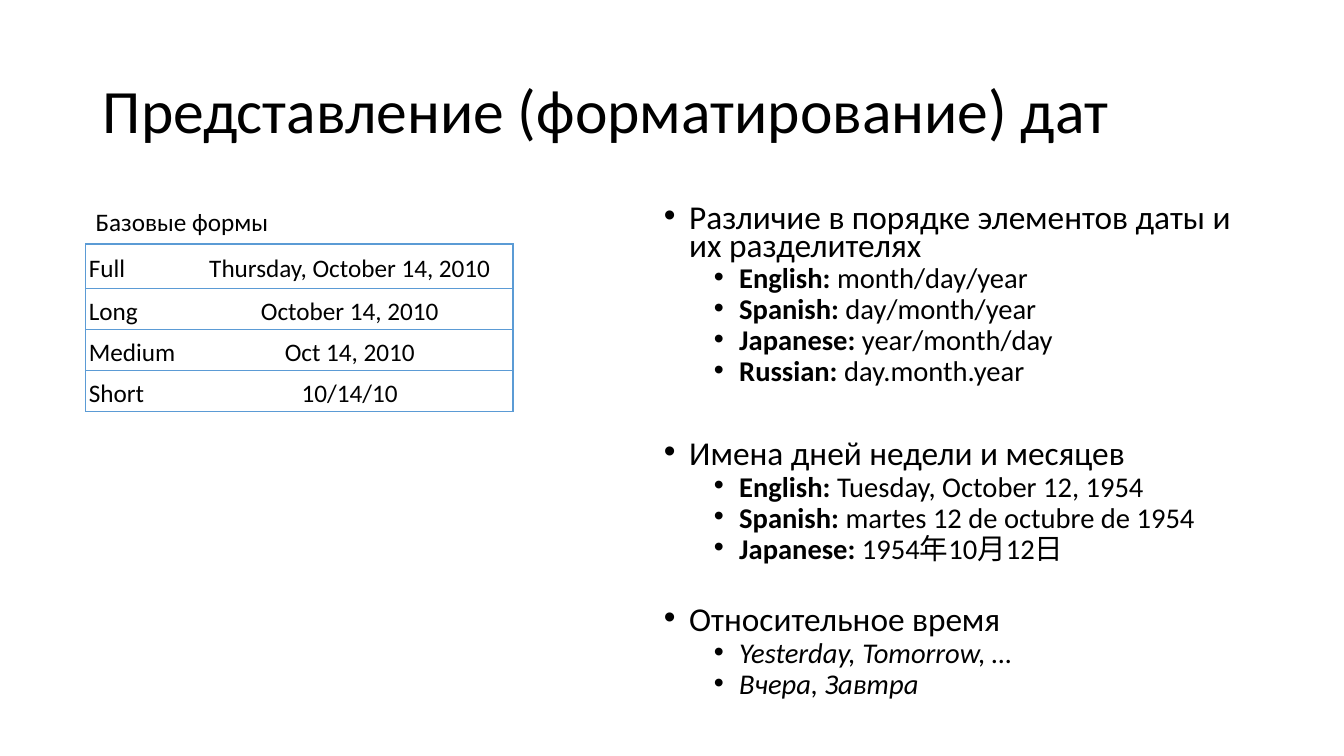
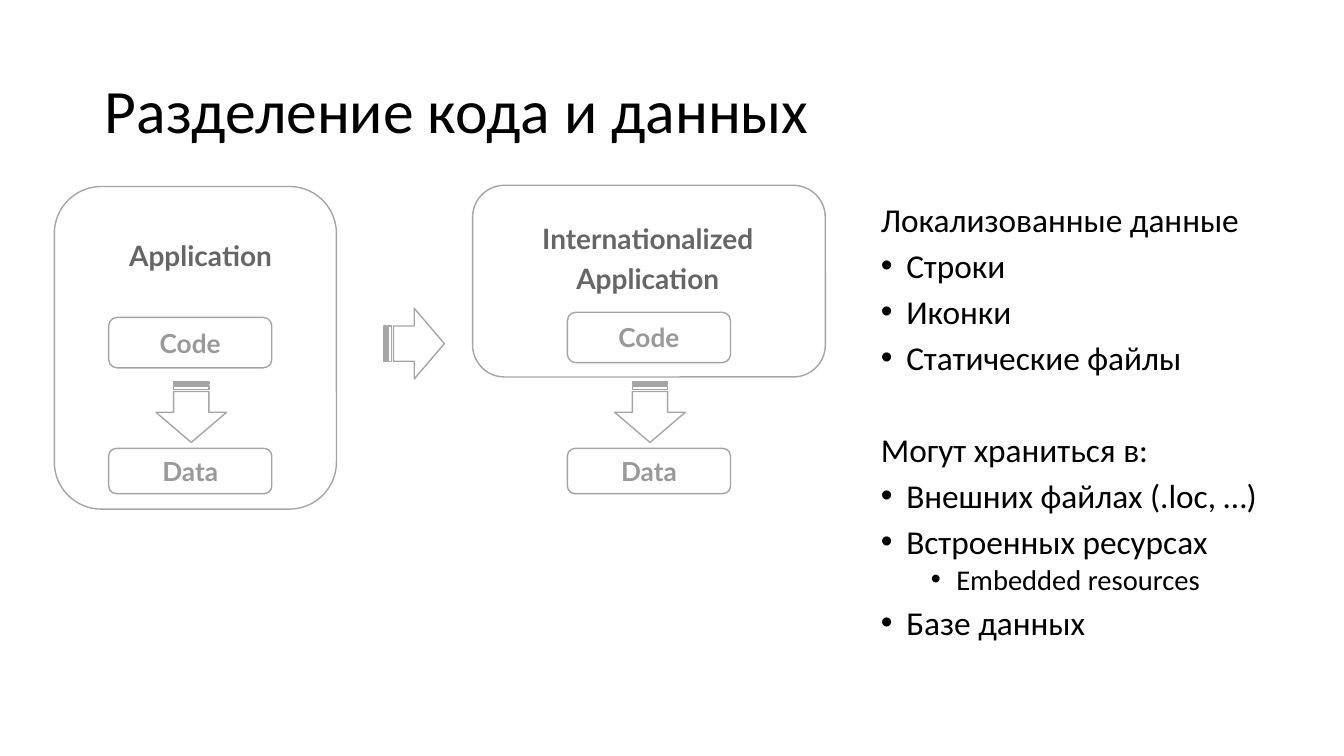
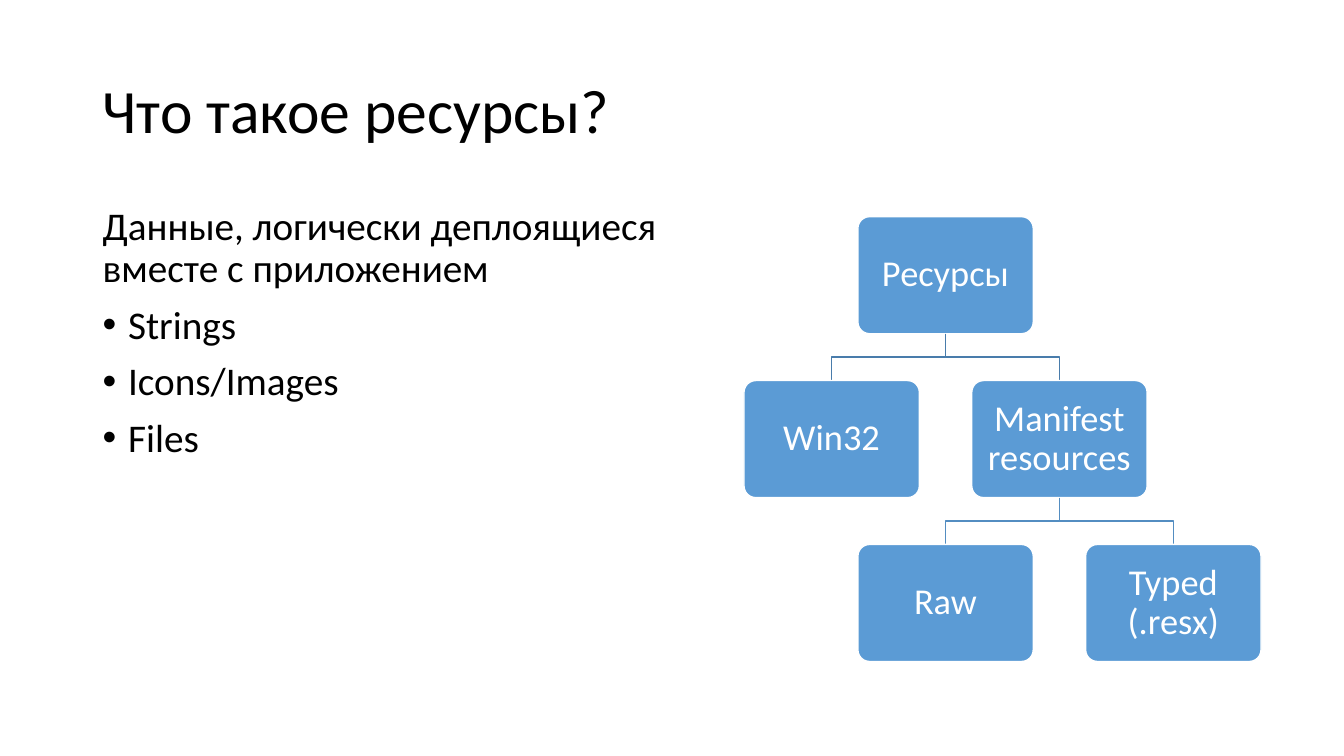
import pptx
import pptx.util
import pptx.dml.color
import pptx.enum.shapes
import pptx.enum.text
import pptx.oxml
import pptx.oxml.ns

Cm, Pt = pptx.util.Cm, pptx.util.Pt
SHAPE = pptx.enum.shapes.MSO_SHAPE
ALIGN = pptx.enum.text.PP_ALIGN
ANCHOR = pptx.enum.text.MSO_ANCHOR

# Shared style
COLORS = {"text": "000000", "white": "FFFFFF", "blue": "5B9BD5",
          "fork_1": "497CAB", "fork_2": "538DC1",
          "outline": "A5A5A5", "box_text": "999999", "caption": "666666"}
INSET = 0.25, 0.13
# kind: (level, left margin in cm, space before in pt, italic)
KINDS = {"plain": (0, 0, 10, False), "bullet": (0, 0.64, 10, False),
         "sub": (1, 1.9, 5, False), "italic": (1, 1.9, 5, True)}

# Content: kind, bold lead, text and, where a section starts, its space before
DATE_NOTES = [
    ("bullet", "", "Различие в порядке элементов даты и их разделителях"),
    ("sub", "English:", " month/day/year"),
    ("sub", "Spanish:", " day/month/year"),
    ("sub", "Japanese:", " year/month/day"),
    ("sub", "Russian: ", "day.month.year"),
    ("bullet", "", "Имена дней недели и месяцев", 40.3),
    ("sub", "English:", " Tuesday, October 12, 1954"),
    ("sub", "Spanish: ", "martes 12 de octubre de 1954"),
    ("sub", "Japanese:", " 1954年10月12日"),
    ("bullet", "", "Относительное время", 32.4),
    ("italic", "", "Yesterday, Tomorrow, …"),
    ("italic", "", "Вчера, Завтра"),
]
DATE_FORMS = [("Full", "Thursday, October 14, 2010"), ("Long", "October 14, 2010"),
              ("Medium", "Oct 14, 2010"), ("Short", "10/14/10")]
DATA_NOTES = [
    ("plain", "", "Локализованные данные"),
    ("bullet", "", "Строки"),
    ("bullet", "", "Иконки"),
    ("bullet", "", "Статические файлы"),
    ("plain", "", "Могут храниться в:", 43.2),
    ("bullet", "", "Внешних файлах (.loc, …)"),
    ("bullet", "", "Встроенных ресурсах"),
    ("sub", "", "Embedded resources"),
    ("bullet", "", "Базе данных"),
]
# frame, caption lines, caption place, left of the boxes, top of the code box
APPLICATIONS = [
    ((1.37, 4.7, 7.11, 8.13), ["Application"], (1.55, 5.49, 7.01, 1.98), 2.74, 8),
    ((11.91, 4.67, 8.89, 4.83), ["Internationalized", "Application"],
     (12.5, 5.26, 7.65, 2.62), 14.3, 7.87),
]
RESOURCE_NOTES = [
    ("plain", "", "Данные, логически деплоящиеся вместе с приложением"),
    ("bullet", "", "Strings"),
    ("bullet", "", "Icons/Images"),
    ("bullet", "", "Files"),
]
# name: (column, row, parent)
RESOURCE_TREE = {"Ресурсы": (1, 0, None), "Win32": (0, 1, "Ресурсы"),
                 "Manifest resources": (2, 1, "Ресурсы"),
                 "Raw": (1, 2, "Manifest resources"),
                 "Typed (.resx)": (3, 2, "Manifest resources")}


def rgb(name):
    return pptx.dml.color.RGBColor.from_string(COLORS[name])


def lengths(place):
    return [Cm(value) for value in place]


def set_font(paragraph, size, color="text", name="Calibri", bold=False, italic=False):
    font = paragraph.font
    font.size, font.name, font.bold, font.italic = Pt(size), name, bold, italic
    font.color.rgb = rgb(color)


def set_frame(frame, inset=INSET, anchor=ANCHOR.MIDDLE):
    frame.word_wrap = True
    frame.auto_size = pptx.enum.text.MSO_AUTO_SIZE.NONE
    frame.vertical_anchor = anchor
    frame.margin_left = frame.margin_right = Cm(inset[0])
    frame.margin_top = frame.margin_bottom = Cm(inset[1])


def add_titled_slide(presentation, title_text, left=2.34):
    slide = presentation.slides.add_slide(presentation.slide_layouts[5])
    title = slide.shapes.title
    title.left, title.top, title.width, title.height = lengths((left, 1.02, 29.21, 3.68))
    title.text_frame.text = title_text
    set_frame(title.text_frame)
    paragraph = title.text_frame.paragraphs[0]
    paragraph.alignment, paragraph.line_spacing = ALIGN.LEFT, 0.9
    set_font(paragraph, 44)
    return slide


def add_text(slide, place, lines, inset=INSET, anchor=ANCHOR.TOP):
    frame = slide.shapes.add_textbox(*lengths(place)).text_frame
    set_frame(frame, inset, anchor)
    frame.text = "\n".join(lines)
    return frame.paragraphs


def add_bullet(paragraph, margin):
    properties = paragraph._p.get_or_add_pPr()
    properties.set("marL", str(Cm(margin)))
    properties.set("indent", str(-Cm(0.64)))
    for tag, attribute, value in (("buFont", "typeface", "Arial"), ("buChar", "char", "•")):
        element = pptx.oxml.parse_xml(
            f'<a:{tag} {pptx.oxml.ns.nsdecls("a")} {attribute}="{value}"/>')
        properties.append(element)


def add_notes(slide, place, notes, line_spacing, sizes):
    paragraphs = add_text(slide, place, [""] * len(notes))
    for index, (paragraph, note) in enumerate(zip(paragraphs, notes)):
        kind, lead, text, *section_gap = note
        level, margin, before, italic = KINDS[kind]
        paragraph.level = level
        if margin:
            add_bullet(paragraph, margin)
        paragraph.line_spacing = line_spacing
        if index:
            paragraph.space_before = Pt(section_gap[0] if section_gap else before)
        set_font(paragraph, sizes[level], italic=italic)
        if lead:
            run = paragraph.add_run()
            run.text, run.font.bold = lead, True
        paragraph.add_run().text = text


def add_box(slide, kind, place, fill, line):
    shape = slide.shapes.add_shape(kind, *lengths(place))
    shape.shadow.inherit = False
    shape.fill.solid()
    shape.fill.fore_color.rgb = rgb(fill)
    shape.line.color.rgb = rgb(line)
    shape.line.width = Pt(1)
    return shape


def label_box(shape, text, inset, **font):
    set_frame(shape.text_frame, inset)
    shape.text_frame.text = text
    paragraph = shape.text_frame.paragraphs[0]
    paragraph.alignment = ALIGN.CENTER
    set_font(paragraph, **font)
    return paragraph


def set_borders(cell, sides):
    properties = cell._tc.get_or_add_tcPr()
    for index, side in enumerate("LRTB"):
        paint = (f'<a:solidFill><a:srgbClr val="{COLORS["blue"]}"/></a:solidFill>'
                 if side in sides else "<a:noFill/>")
        properties.insert(index, pptx.oxml.parse_xml(
            f'<a:ln{side} {pptx.oxml.ns.nsdecls("a")} w="{Pt(1)}">{paint}</a:ln{side}>'))


def add_date_table(slide):
    frame = slide.shapes.add_table(len(DATE_FORMS), 2, *lengths((2.16, 6.15, 10.77, 4.22)))
    table = frame.table
    table.first_row = table.horz_banding = False
    table.columns[0].width, table.columns[1].width = Cm(2.54), Cm(8.23)
    for row_index, texts in enumerate(DATE_FORMS):
        table.rows[row_index].height = Cm(1.02 if row_index else 1.12)
        for column_index, text in enumerate(texts):
            cell = table.cell(row_index, column_index)
            cell.text = text
            cell.vertical_anchor = ANCHOR.MIDDLE
            cell.margin_left = cell.margin_right = Cm(0.08)
            cell.margin_top = cell.margin_bottom = Cm(0.05)
            cell.fill.solid()
            cell.fill.fore_color.rgb = rgb("white")
            set_borders(cell, ("LTB", "RTB")[column_index])
            paragraph = cell.text_frame.paragraphs[0]
            paragraph.alignment = (ALIGN.LEFT, ALIGN.CENTER)[column_index]
            paragraph.line_spacing = 1.2
            set_font(paragraph, 18)


def add_striped_arrow(slide, left, top, rotation=0):
    arrow = add_box(slide, SHAPE.STRIPED_RIGHT_ARROW, (left, top, 1.52, 1.78),
                    "white", "outline")
    arrow.rotation = rotation


def add_application(slide, frame, caption, caption_place, left, code_top):
    add_box(slide, SHAPE.ROUNDED_RECTANGLE, frame, "white", "outline")
    for text, top, height in (("Code", code_top, 1.27), ("Data", 11.3, 1.14)):
        box = add_box(slide, SHAPE.ROUNDED_RECTANGLE, (left, top, 4.11, height),
                      "white", "outline")
        label_box(box, text, INSET, size=18.7, color="box_text", name="Lato", bold=True)
    add_striped_arrow(slide, left + 1.32, 9.5, 90)
    for paragraph in add_text(slide, caption_place, caption, (0.1, 0.1), ANCHOR.MIDDLE):
        paragraph.alignment, paragraph.line_spacing = ALIGN.CENTER, 0.9
        paragraph.space_after = Pt(7)
        set_font(paragraph, 20, "caption", "Lato", bold=True)


def add_resource_tree(slide):
    width, height, column_step, row_step = 4.42, 2.95, 2.87, 4.13

    def top_center(name):
        column, row, _ = RESOURCE_TREE[name]
        return 20.96 + column * column_step, 5.46 + row * row_step

    for name, (_, row, parent) in RESOURCE_TREE.items():
        x, top = top_center(name)
        if parent:
            parent_x, parent_top = top_center(parent)
            start = parent_top + height
            middle = (start + top) / 2
            builder = slide.shapes.build_freeform(Cm(parent_x), Cm(start))
            builder.add_line_segments(
                [lengths(point) for point in ((parent_x, middle), (x, middle), (x, top))],
                close=False)
            branch = builder.convert_to_shape()
            branch.shadow.inherit = False
            branch.fill.background()
            branch.line.color.rgb = rgb(f"fork_{row}")
            branch.line.width = Pt(1)
        box = add_box(slide, SHAPE.ROUNDED_RECTANGLE, (x - width / 2, top, width, height),
                      "blue", "white")
        box.adjustments[0] = 0.1
        label_box(box, name, (0.28, 0.28), size=26, color="white").line_spacing = 0.9


def main():
    presentation = pptx.Presentation()
    presentation.slide_width, presentation.slide_height = Cm(33.87), Cm(19.05)

    # Date formats
    slide = add_titled_slide(presentation, "Представление (форматирование) дат")
    add_notes(slide, (16.48, 5.08, 15.06, 12.67), DATE_NOTES, 0.7, (23.8, 20.4))
    add_date_table(slide)
    set_font(add_text(slide, (2.16, 5.08, 5.2, 1.02), ["Базовые формы"])[0], 18)

    # Code and data
    slide = add_titled_slide(presentation, "Разделение кода и данных", 2.39)
    add_notes(slide, (21.95, 5.08, 10.16, 12.09), DATA_NOTES, 0.8, (23.8, 20.4))
    for application in APPLICATIONS:
        add_application(slide, *application)
    add_striped_arrow(slide, 9.68, 7.77)

    # Resources
    slide = add_titled_slide(presentation, "Что такое ресурсы?")
    add_notes(slide, (2.34, 5.08, 14.99, 12.09), RESOURCE_NOTES, 0.9, (28, 24))
    add_resource_tree(slide)

    presentation.save("out.pptx")


if __name__ == "__main__":
    main()
